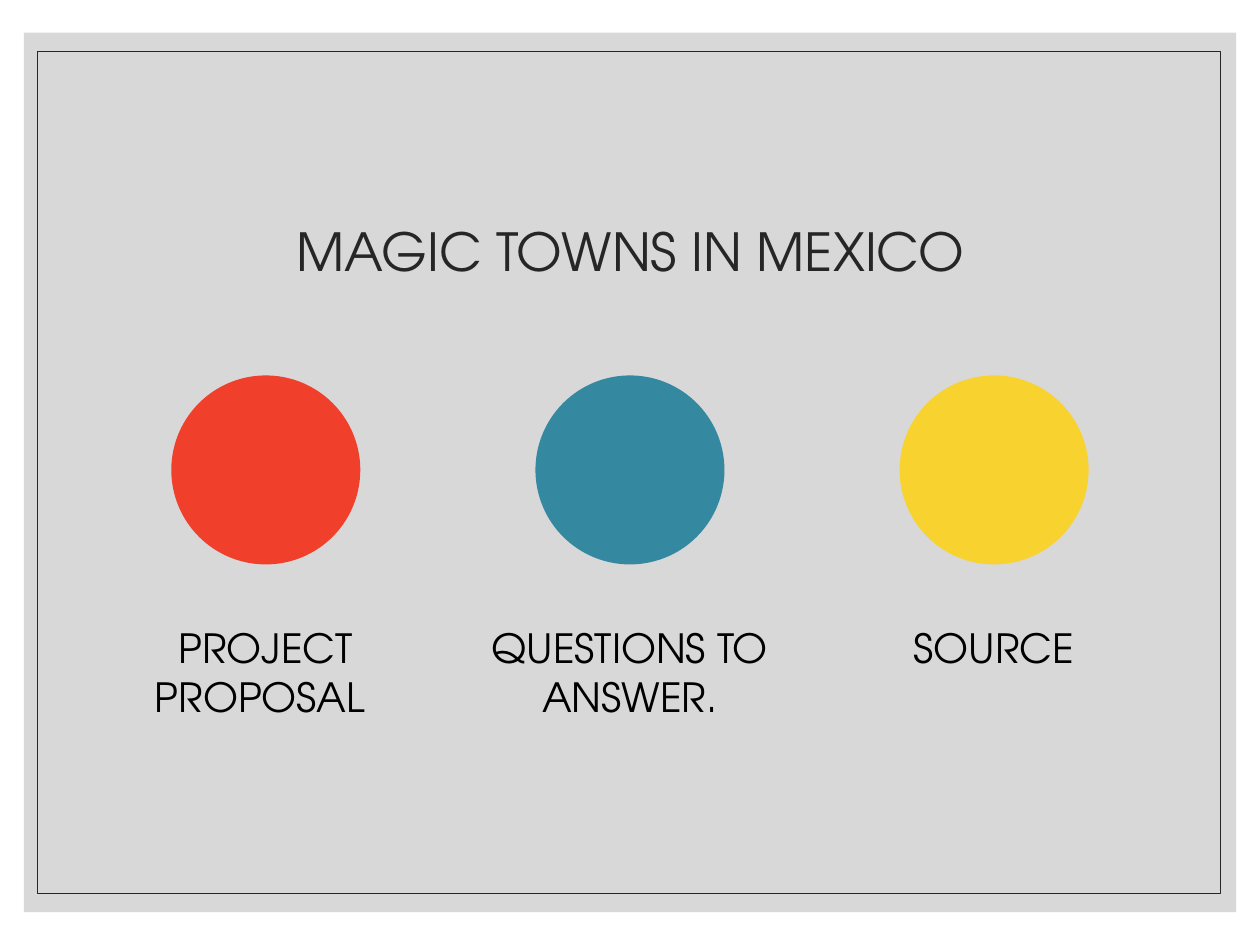
"""Build the agenda slide for Magic Towns in Mexico."""
from lxml import etree
from pptx import Presentation
from pptx import util as u
from pptx.dml.color import RGBColor
from pptx.enum import shapes, text
from pptx.oxml.ns import qn

TITLE = "MAGIC TOWNS IN MEXICO"
TOPICS = [
    ("PROJECT PROPOSAL ", "red"),
    ("QUESTIONS TO ANSWER.", "teal"),
    ("SOURCE", "yellow"),
]
COLORS = {
    "panel": "BFBFBF", "dark": "262626", "label": "000000",
    "red": "F03F2B", "teal": "3488A0", "yellow": "F8D22F",
}
FONT = "TeX Gyre Adventor"
WIDTH, HEIGHT = 10, 7.5
COLUMN_PITCH, LABEL_WIDTH, CIRCLE_SIZE = 2.89, 2.46, 1.5
CIRCLE_TOP, LABEL_TOP, LABEL_HEIGHT = 2.98, 4.95, 0.79


def color(name):
    return RGBColor.from_string(COLORS[name])


def inches(*lengths):
    return [u.Inches(length) for length in lengths]


def add_plain(slide, kind, box, fill=None):
    shape = slide.shapes.add_shape(kind, *inches(*box))
    shape.shadow.inherit = False
    shape.line.fill.background()
    if fill:
        shape.fill.solid()
        shape.fill.fore_color.rgb = color(fill)
    else:
        shape.fill.background()
    return shape


def write(frame, words, size, ink):
    frame.word_wrap = True
    frame.text = words
    paragraph = frame.paragraphs[0]
    paragraph.alignment = text.PP_ALIGN.CENTER
    font = paragraph.runs[0].font
    font.name, font.size, font.color.rgb = FONT, u.Pt(size), color(ink)
    return paragraph


def add_frame(slide):
    rectangle = shapes.MSO_SHAPE.RECTANGLE
    panel = add_plain(slide, rectangle, (0.19, 0.26, 9.62, 6.98), "panel")
    tint = panel.fill._xPr.find(".//" + qn("a:srgbClr"))
    etree.SubElement(tint, qn("a:alpha"), val="60000")
    border = add_plain(slide, rectangle, (0.3, 0.41, 9.39, 6.68))
    border.line.color.rgb = color("dark")
    border.line.width = u.Pt(0.5)


def add_topic(slide, column, label, fill):
    center = WIDTH / 2 + (column - (len(TOPICS) - 1) / 2) * COLUMN_PITCH
    add_plain(slide, shapes.MSO_SHAPE.OVAL,
              (center - CIRCLE_SIZE / 2, CIRCLE_TOP, CIRCLE_SIZE, CIRCLE_SIZE), fill)
    caption = slide.shapes.add_textbox(
        *inches(center - LABEL_WIDTH / 2, LABEL_TOP, LABEL_WIDTH, LABEL_HEIGHT))
    frame = caption.text_frame
    frame.margin_left = frame.margin_right = frame.margin_top = frame.margin_bottom = 0
    write(frame, label, 23, "label")


def place_title(slide):
    title = slide.shapes.title
    title.left, title.top, title.width, title.height = inches(0.88, 1.46, 8.25, 1.12)
    write(title.text_frame, TITLE, 30, "dark").line_spacing = 0.9
    title.text_frame.vertical_anchor = text.MSO_ANCHOR.MIDDLE
    slide.shapes._spTree.append(title._element)


def main():
    deck = Presentation()
    deck.slide_width, deck.slide_height = inches(WIDTH, HEIGHT)
    slide = deck.slides.add_slide(deck.slide_layouts[5])
    add_frame(slide)
    for column, (label, fill) in enumerate(TOPICS):
        add_topic(slide, column, label, fill)
    place_title(slide)
    deck.save("out.pptx")


if __name__ == "__main__":
    main()
